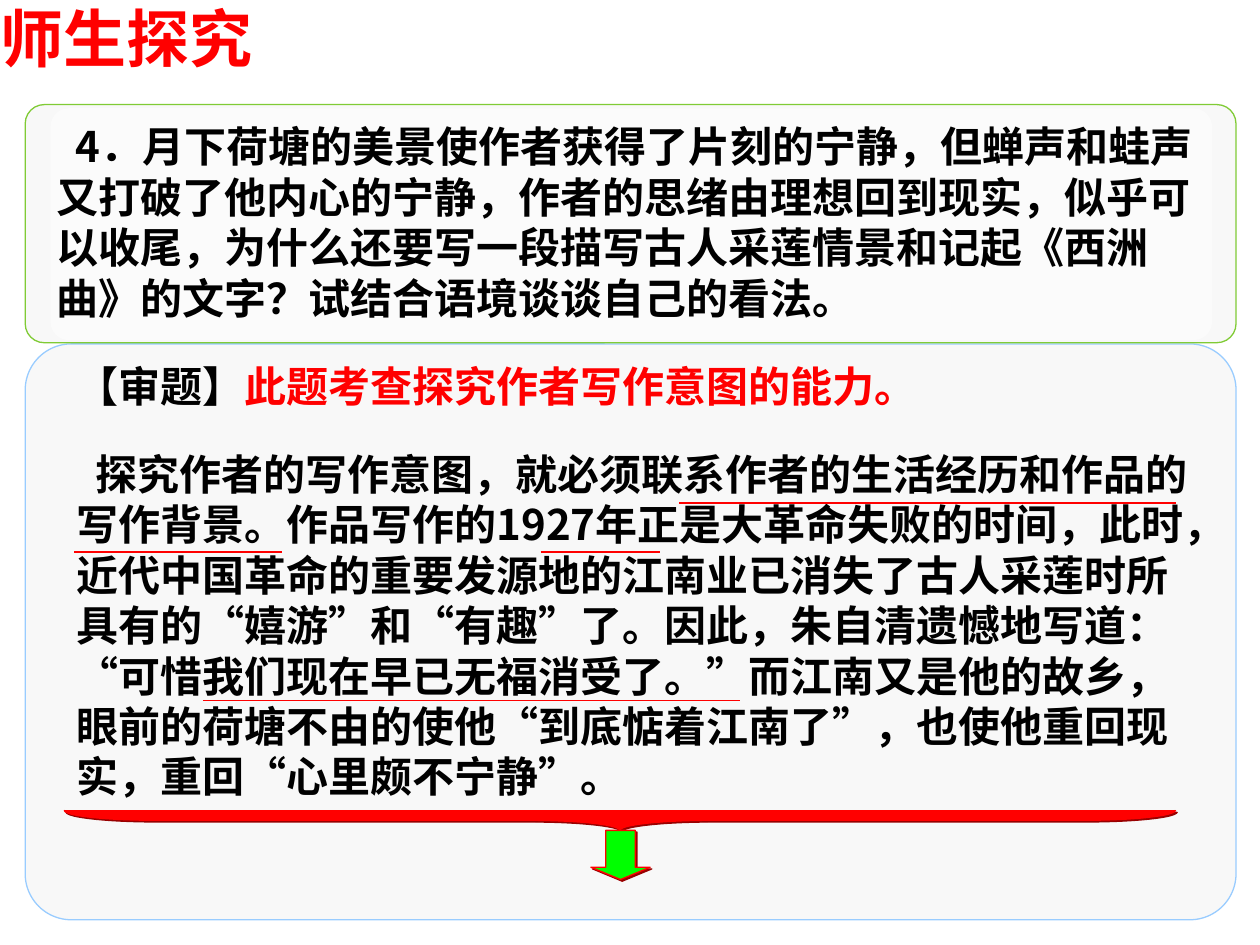
from dataclasses import dataclass

from lxml import etree
from pptx import Presentation
from pptx.dml.color import RGBColor
from pptx.enum.shapes import MSO_CONNECTOR, MSO_SHAPE
from pptx.enum.text import MSO_ANCHOR
from pptx.oxml.ns import qn
from pptx.util import Inches, Pt

ROUNDED = MSO_SHAPE.ROUNDED_RECTANGLE
BRACE = MSO_SHAPE.LEFT_BRACE
DOWN_ARROW = MSO_SHAPE.DOWN_ARROW
STRAIGHT = MSO_CONNECTOR.STRAIGHT
TOP, MIDDLE = MSO_ANCHOR.TOP, MSO_ANCHOR.MIDDLE


@dataclass(frozen=True)
class Theme:
    red: str = "FF0000"
    dark_red: str = "980000"
    black: str = "000000"
    white: str = "FFFFFF"
    panel: str = "F8F8F8"
    blue: str = "99CCFF"
    leaf: str = "80CB35"
    green: str = "00FF00"
    text_shadow: str = "808080"
    latin: str = "Arial"
    chinese: str = "Noto Sans CJK SC"
    title_size: int = 36
    body_size: int = 24
    line_height: float = 1.2


class SlideBuilder:
    def __init__(self, slide, theme):
        self.slide = slide
        self.theme = theme

    def add_shadow(self, effects, color, distance):
        shadow = etree.SubElement(
            effects, qn("a:outerShdw"), dist=str(Pt(distance)), dir="2700000",
            algn="ctr", rotWithShape="0")
        etree.SubElement(shadow, qn("a:srgbClr"), val=color)

    def shape(self, kind, box, fill, line=None, adjustments=(), rotation=0,
              alpha=None, shadow=None):
        shape = self.slide.shapes.add_shape(kind, *map(Inches, box))
        shape.rotation = rotation
        shape.shadow.inherit = False
        for index, value in enumerate(adjustments):
            shape.adjustments[index] = value
        shape.fill.solid()
        shape.fill.fore_color.rgb = RGBColor.from_string(fill)
        properties = shape._element.spPr
        if alpha is not None:
            color = properties.find(qn("a:solidFill")).find(qn("a:srgbClr"))
            etree.SubElement(color, qn("a:alpha"), val=str(alpha * 1000))
        if line:
            shape.line.color.rgb = RGBColor.from_string(line)
            shape.line.width = Pt(0.75)
        else:
            shape.line.fill.background()
        if shadow:
            self.add_shadow(properties.find(qn("a:effectLst")), shadow, 1.4)

    def text(self, box, runs, size, font, margins=(0.1, 0.05), anchor=TOP,
             indent=0):
        text_box = self.slide.shapes.add_textbox(*map(Inches, box))
        frame = text_box.text_frame
        frame.word_wrap = True
        frame.vertical_anchor = anchor
        frame.margin_left = frame.margin_right = Inches(margins[0])
        frame.margin_top = frame.margin_bottom = Inches(margins[1])
        paragraph = frame.paragraphs[0]
        paragraph.line_spacing = Pt(size * self.theme.line_height)
        properties = paragraph._p.get_or_add_pPr()
        properties.set("indent", str(Inches(indent)))
        paragraph.font.size = Pt(size)
        paragraph.font.bold = True
        paragraph.font.name = font
        etree.SubElement(properties.find(qn("a:defRPr")), qn("a:ea"),
                         typeface=self.theme.chinese)
        for content, color in runs:
            run = paragraph.add_run()
            run.text = content
            run.font.color.rgb = RGBColor.from_string(color)
            effects = etree.SubElement(run._r.get_or_add_rPr(),
                                       qn("a:effectLst"))
            self.add_shadow(effects, self.theme.text_shadow, 2)

    def underline(self, left, right, y):
        line = self.slide.shapes.add_connector(
            STRAIGHT, Inches(left), Inches(y), Inches(right), Inches(y))
        line.line.color.rgb = RGBColor.from_string(self.theme.red)
        line.line.width = Pt(1)
        etree.SubElement(line._element.spPr, qn("a:effectLst"))


def main():
    theme = Theme()
    presentation = Presentation()
    presentation.slide_width = Inches(10)
    presentation.slide_height = Inches(7.5)
    slide = presentation.slides.add_slide(presentation.slide_layouts[6])
    builder = SlideBuilder(slide, theme)

    # Answer and question panels
    builder.shape(ROUNDED, (0.2, 2.73, 9.61, 4.57), theme.panel, theme.blue,
                  [0.08])
    builder.shape(ROUNDED, (0.2, 0.83, 9.61, 1.89), theme.panel, theme.leaf,
                  [0.08])
    builder.shape(ROUNDED, (0.4, 0.86, 9.22, 1.84), theme.white,
                  adjustments=[0.08], alpha=50)

    # Title
    builder.text((0, 0, 3.35, 0.6), [("师生探究", theme.red)],
                 theme.title_size, theme.latin, margins=(0, 0))

    # Question
    question = (
        "4．月下荷塘的美景使作者获得了片刻的宁静，但蝉声和蛙声又打破了他内心的宁静，"
        "作者的思绪由理想回到现实，似乎可以收尾，为什么还要写一段描写古人采莲情景"
        "和记起《西洲曲》的文字？试结合语境谈谈自己的看法。")
    builder.text((0.35, 0.91, 9.37, 1.7), [(question, theme.black)],
                 theme.body_size, theme.chinese, anchor=MIDDLE, indent=0.15)

    # Analysis
    builder.text((0.51, 2.81, 9.13, 0.5),
                 [("【审题】", theme.black),
                  ("此题考查探究作者写作意图的能力。", theme.red)],
                 theme.body_size, theme.latin)
    analysis = (
        "探究作者的写作意图，就必须联系作者的生活经历和作品的写作背景。"
        "作品写作的1927年正是大革命失败的时间，此时，近代中国革命的重要发源地的江南"
        "业已消失了古人采莲时所具有的“嬉游”和“有趣”了。因此，朱自清遗憾地写道："
        "“可惜我们现在早已无福消受了。”而江南又是他的故乡，眼前的荷塘不由的使他"
        "“到底惦着江南了”，也使他重回现实，重回“心里颇不宁静”。")
    builder.text((0.51, 3.51, 9.13, 2.9), [(analysis, theme.black)],
                 theme.body_size, theme.chinese, indent=0.15)

    # Underlined key phrases
    for left, right, y in [(5.39, 9.33, 3.99), (0.59, 2.24, 4.38),
                           (4.29, 5.24, 4.38), (1.61, 5.87, 5.56)]:
        builder.underline(left, right, y)

    # Brace and arrow leading on from the analysis
    builder.shape(BRACE, (4.84, 2.1, 0.16, 8.82), theme.red, theme.red,
                  [4.6, 0.5], rotation=270, shadow=theme.dark_red)
    builder.shape(DOWN_ARROW, (4.69, 6.59, 0.47, 0.39), theme.green, theme.red,
                  [0.25, 0.5], shadow=theme.dark_red)

    # The arrow's head takes a quarter of its height, its shaft half its width
    arrow = slide.shapes[-1]
    arrow.adjustments[0], arrow.adjustments[1] = 0.5, 0.25

    presentation.save("out.pptx")


if __name__ == "__main__":
    main()
